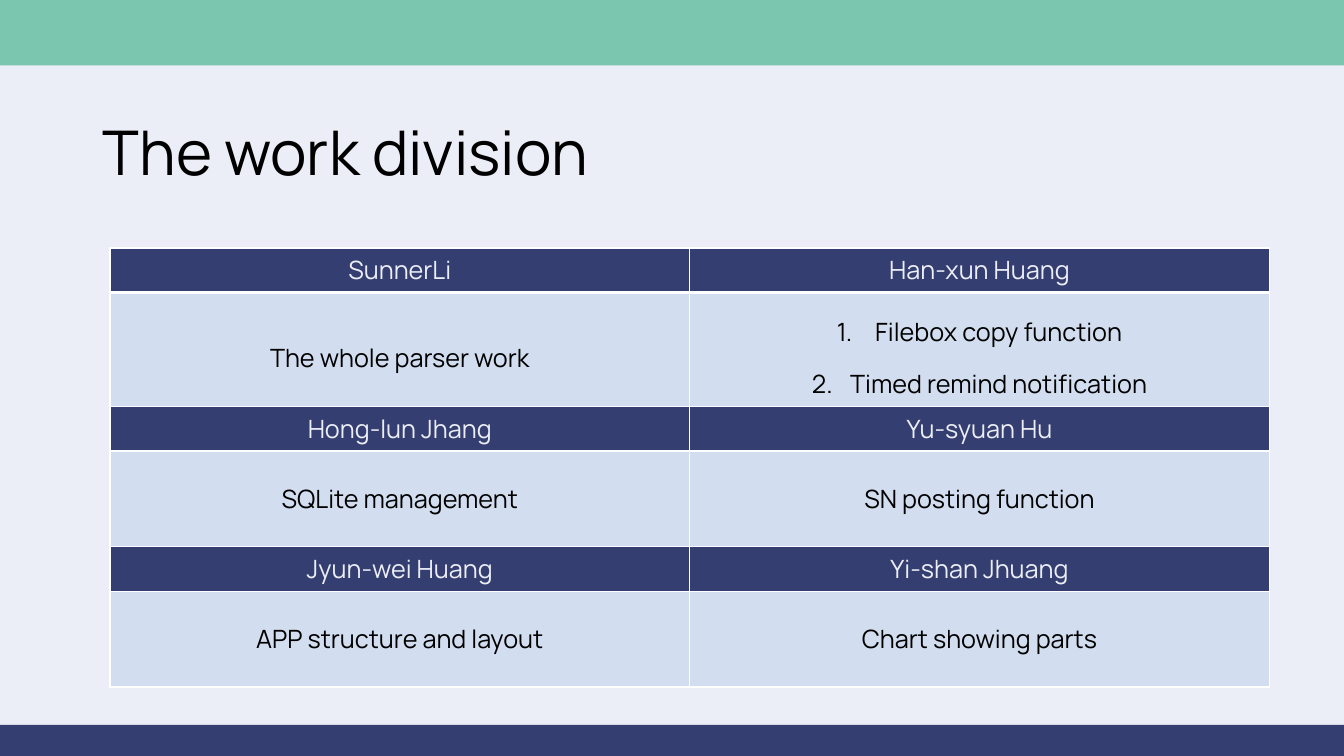
from lxml.etree import SubElement
from pptx import Presentation
from pptx.dml.color import RGBColor
from pptx.enum.shapes import MSO_SHAPE as Shape
from pptx.enum.text import MSO_ANCHOR as Anchor, MSO_AUTO_SIZE as AutoSize, PP_ALIGN as Align
from pptx.oxml import parse_xml
from pptx.oxml.ns import nsdecls, qn
from pptx.util import Emu, Inches, Pt

WIDTH, HEIGHT = 13.33, 7.5
FONT = "Manrope"
COLORS = {"page": "EBEEF6", "navy": "353E70", "mint": "7AC6AE",
          "task": "D2DEEF", "ink": "000000", "rule": "FFFFFF"}
HEADER_HEIGHT, TASK_HEIGHT, LIST_HEIGHT = 0.43, 0.95, 1.13
TEAM = [
    [("SunnerLi", ["The whole parser work"]),
     ("Han-xun Huang", ["Filebox copy function", "Timed remind notification"])],
    [("Hong-lun Jhang", ["SQLite management"]),
     ("Yu-syuan Hu", ["SN posting function"])],
    [("Jyun-wei Huang", ["APP structure and layout"]),
     ("Yi-shan Jhuang", ["Chart showing parts"])],
]


def color(name):
    """Return the named colour."""
    return RGBColor.from_string(COLORS[name])


def write(frame, lines, size=18, ink="ink", align=Align.CENTER, spacing=1.0, numbered=False):
    """Fill a text frame with one formatted paragraph per line."""
    for index, line in enumerate(lines):
        para = frame.add_paragraph() if index else frame.paragraphs[0]
        para.alignment, para.line_spacing = align, spacing
        para.space_before = Pt(0)
        if numbered:
            properties = para._p.get_or_add_pPr()
            indent = Inches(0.38)
            properties.set("marL", str(indent))
            properties.set("indent", str(-indent))
            SubElement(properties, qn("a:buAutoNum"), type="arabicPeriod")
        span = para.add_run()
        span.text = line
        span.font.name, span.font.size = FONT, Pt(size)
        span.font.color.rgb = color(ink)


def add_band(page, box, fill):
    """Draw a plain coloured band in the given box."""
    band = page.shapes.add_shape(Shape.RECTANGLE, *map(Inches, box))
    band.shadow.inherit = False
    band.fill.solid()
    band.fill.fore_color.rgb = color(fill)
    band.line.fill.background()


def add_title(page, box, text):
    """Place and format the title placeholder."""
    title = page.shapes.title
    title.left, title.top, title.width, title.height = map(Inches, box)
    frame = title.text_frame
    frame.word_wrap, frame.auto_size = True, AutoSize.NONE
    frame.vertical_anchor = Anchor.MIDDLE
    write(frame, [text], size=44, align=Align.LEFT, spacing=0.9)


def set_borders(cell, top=1, bottom=1):
    """Rule the four sides of a cell, with widths in points."""
    widths = {"L": 1, "R": 1, "T": top, "B": bottom}
    properties = cell._tc.get_or_add_tcPr()
    for index, (side, width) in enumerate(widths.items()):
        properties.insert(index, parse_xml(
            f'<a:ln{side} {nsdecls("a")} w="{Pt(width)}"><a:solidFill>'
            f'<a:srgbClr val="{COLORS["rule"]}"/></a:solidFill></a:ln{side}>'))


def fill_cell(cell, lines, fill, top=1, bottom=1, **text_format):
    """Colour, rule and write one table cell."""
    cell.fill.solid()
    cell.fill.fore_color.rgb = color(fill)
    cell.vertical_anchor = Anchor.MIDDLE
    set_borders(cell, top, bottom)
    write(cell.text_frame, lines, **text_format)


def add_team_table(page, box, team):
    """Build the table of members, each name above its tasks."""
    row_count, column_count = 2 * len(team), len(team[0])
    table = page.shapes.add_table(row_count, column_count, *map(Inches, box)).table
    for column in table.columns:
        column.width = Emu(Inches(box[2]) // column_count)
    for pair, members in enumerate(team):
        header, body = 2 * pair, 2 * pair + 1
        first = pair == 0
        has_list = any(len(tasks) > 1 for _, tasks in members)
        table.rows[header].height = Inches(HEADER_HEIGHT)
        table.rows[body].height = Inches(LIST_HEIGHT if has_list else TASK_HEIGHT)
        rule = 3 if first else 1
        for column, (name, tasks) in enumerate(members):
            fill_cell(table.cell(header, column), [name], "navy", bottom=rule, ink="page")
            fill_cell(table.cell(body, column), tasks, "task", top=rule,
                      spacing=1.5 if has_list else 1.0, numbered=len(tasks) > 1)


def build_division_page(deck):
    """Compose the work division page."""
    page = deck.slides.add_slide(deck.slide_layouts[5])
    page.background.fill.solid()
    page.background.fill.fore_color.rgb = color("page")
    add_title(page, (0.92, 0.82, 11.5, 1.45), "The work division")
    add_band(page, (0, 0, WIDTH, 0.65), "mint")
    add_band(page, (0, 7.19, WIDTH, HEIGHT - 7.19), "navy")
    add_team_table(page, (1.09, 2.46, 11.5, 4.32), TEAM)


def main():
    """Create and save the deck."""
    deck = Presentation()
    deck.slide_width, deck.slide_height = Inches(WIDTH), Inches(HEIGHT)
    build_division_page(deck)
    deck.save("out.pptx")


if __name__ == "__main__":
    main()
